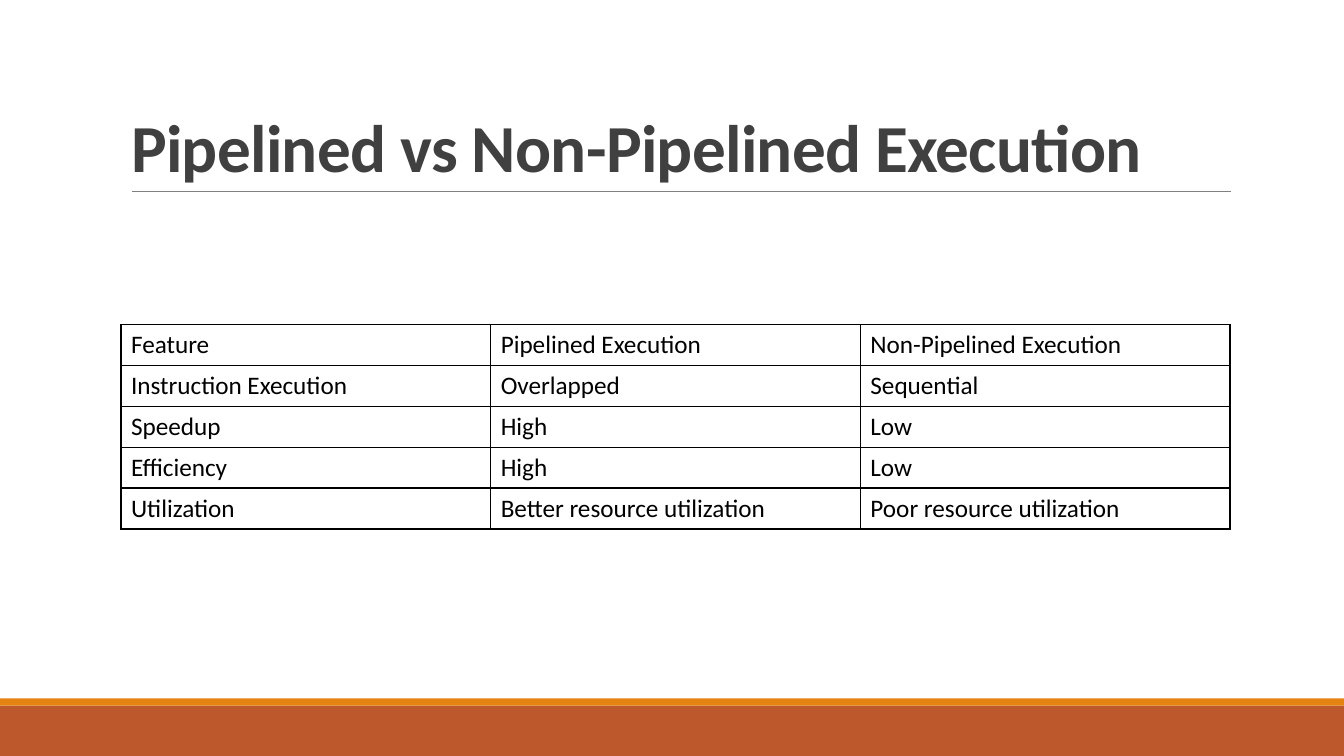
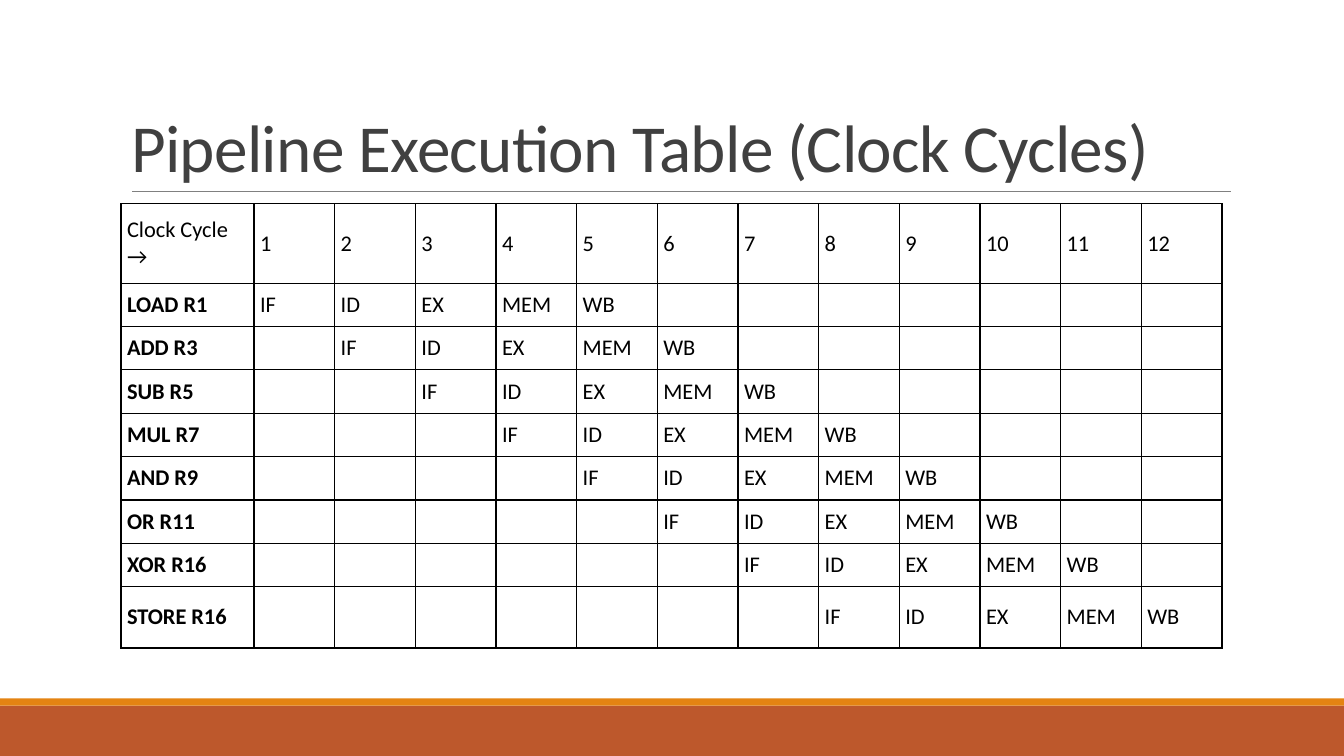
from lxml import etree
from pptx import Presentation
from pptx import util as u
from pptx.dml.color import RGBColor
from pptx.enum import shapes, text
from pptx.oxml import ns

FONT = "Calibri"
COLORS = {
    "band": "BD582C",
    "stripe": "E48312",
    "rule": "808080",
    "title": "404040",
    "ink": "000000",
}
SLIDE_WIDTH, SLIDE_HEIGHT = 13.33, 7.5
LEFT = 1.2
CONTENT_WIDTH = 11

COMPARISON = [
    ["Feature", "Pipelined Execution", "Non-Pipelined Execution"],
    ["Instruction Execution", "Overlapped", "Sequential"],
    ["Speedup", "High", "Low"],
    ["Efficiency", "High", "Low"],
    ["Utilization", "Better resource utilization", "Poor resource utilization"],
]
STAGES = ["IF", "ID", "EX", "MEM", "WB"]
INSTRUCTIONS = ["LOAD R1", "ADD R3", "SUB R5", "MUL R7",
                "AND R9", "OR R11", "XOR R16", "STORE R16"]


def rgb(name):
    return RGBColor.from_string(COLORS[name])


def add_span(para, words, size, color, bold=False):
    span = para.add_run()
    span.text = words
    span.font.name = FONT
    span.font.size = u.Pt(size)
    span.font.bold = bold
    span.font.color.rgb = rgb(color)
    return span


def add_band(page, top, height, color):
    band = page.shapes.add_shape(
        shapes.MSO_SHAPE.RECTANGLE, 0, u.Inches(top),
        u.Inches(SLIDE_WIDTH), u.Inches(height))
    band.shadow.inherit = False
    band.fill.solid()
    band.fill.fore_color.rgb = rgb(color)
    band.line.fill.background()


def add_rule(page, left, right, top):
    rule = page.shapes.add_connector(
        shapes.MSO_CONNECTOR.STRAIGHT, u.Inches(left), u.Inches(top),
        u.Inches(right), u.Inches(top))
    rule.line.color.rgb = rgb("rule")
    rule.line.width = u.Pt(0.5)
    etree.SubElement(rule._element.spPr, ns.qn("a:effectLst"))


def set_title(page, words, bold):
    title = page.shapes.title
    title.left, title.top = u.Inches(LEFT), u.Inches(0.31)
    title.width, title.height = u.Inches(CONTENT_WIDTH), u.Inches(1.59)
    frame = title.text_frame
    frame.word_wrap = True
    frame.auto_size = text.MSO_AUTO_SIZE.NONE
    frame.vertical_anchor = text.MSO_ANCHOR.BOTTOM
    para = frame.paragraphs[0]
    para.alignment = text.PP_ALIGN.LEFT
    para.line_spacing = 0.85
    span = add_span(para, words, 48, "title", bold)
    span.font._element.set("spc", "-50")


def add_page(deck, title, bold=False):
    """Add a slide with the shared bands, rule and title."""
    page = deck.slides.add_slide(deck.slide_layouts[5])
    add_band(page, 7, 0.5, "band")
    add_band(page, 6.93, 0.07, "stripe")
    add_rule(page, 1.31, 12.21, 1.9)
    set_title(page, title, bold)
    return page


def set_borders(cell):
    """Draw a 1 pt line on each side; the lines must come before the fill."""
    properties = cell._tc.get_or_add_tcPr()
    for position, side in enumerate(("lnL", "lnR", "lnT", "lnB")):
        line = etree.Element(ns.qn(f"a:{side}"), w=str(u.Pt(1)))
        fill = etree.SubElement(line, ns.qn("a:solidFill"))
        etree.SubElement(fill, ns.qn("a:srgbClr"), val=COLORS["ink"])
        properties.insert(position, line)


def add_grid(page, top, rows, widths, heights, size,
             margins=(0.1, 0.05), bold_labels=False):
    """Add a bordered table; bold_labels applies to column one below the header."""
    table = page.shapes.add_table(
        len(rows), len(widths), u.Inches(LEFT), u.Inches(top),
        u.Inches(sum(widths)), u.Inches(sum(heights))).table
    table.first_row = table.horz_banding = False
    for column, width in zip(table.columns, widths):
        column.width = u.Inches(width)
    for row, height in zip(table.rows, heights):
        row.height = u.Inches(height)
    side, edge = map(u.Inches, margins)
    for r, row in enumerate(rows):
        for c, words in enumerate(row):
            cell = table.cell(r, c)
            cell.fill.background()
            cell.vertical_anchor = text.MSO_ANCHOR.MIDDLE
            cell.margin_left = cell.margin_right = side
            cell.margin_top = cell.margin_bottom = edge
            set_borders(cell)
            if words:
                bold = bold_labels and r > 0 and c == 0
                add_span(cell.text_frame.paragraphs[0], words, size, "ink", bold)


def schedule_rows():
    """Each instruction enters the pipeline one cycle after the one before."""
    cycles = len(INSTRUCTIONS) + len(STAGES) - 1
    rows = [["Clock Cycle →"] + [str(n + 1) for n in range(cycles)]]
    for delay, instruction in enumerate(INSTRUCTIONS):
        idle_after = cycles - delay - len(STAGES)
        rows.append([instruction] + [""] * delay + STAGES + [""] * idle_after)
    return rows


def main():
    deck = Presentation()
    deck.slide_width = u.Inches(SLIDE_WIDTH)
    deck.slide_height = u.Inches(SLIDE_HEIGHT)

    page = add_page(deck, "Pipelined vs Non-Pipelined Execution", bold=True)
    add_grid(page, 3.22, COMPARISON, [CONTENT_WIDTH / 3] * 3,
             [0.4] * len(COMPARISON), 18)

    page = add_page(deck, "Pipeline Execution Table (Clock Cycles)")
    rows = schedule_rows()
    cycle_width = 0.8
    label_width = 1.32
    add_grid(page, 2.02, rows,
             [label_width] + [cycle_width] * (len(rows[0]) - 1),
             [0.79] + [0.43] * (len(rows) - 2) + [0.61], 16,
             margins=(0.06, 0.03), bold_labels=True)

    deck.save("out.pptx")


if __name__ == "__main__":
    main()
